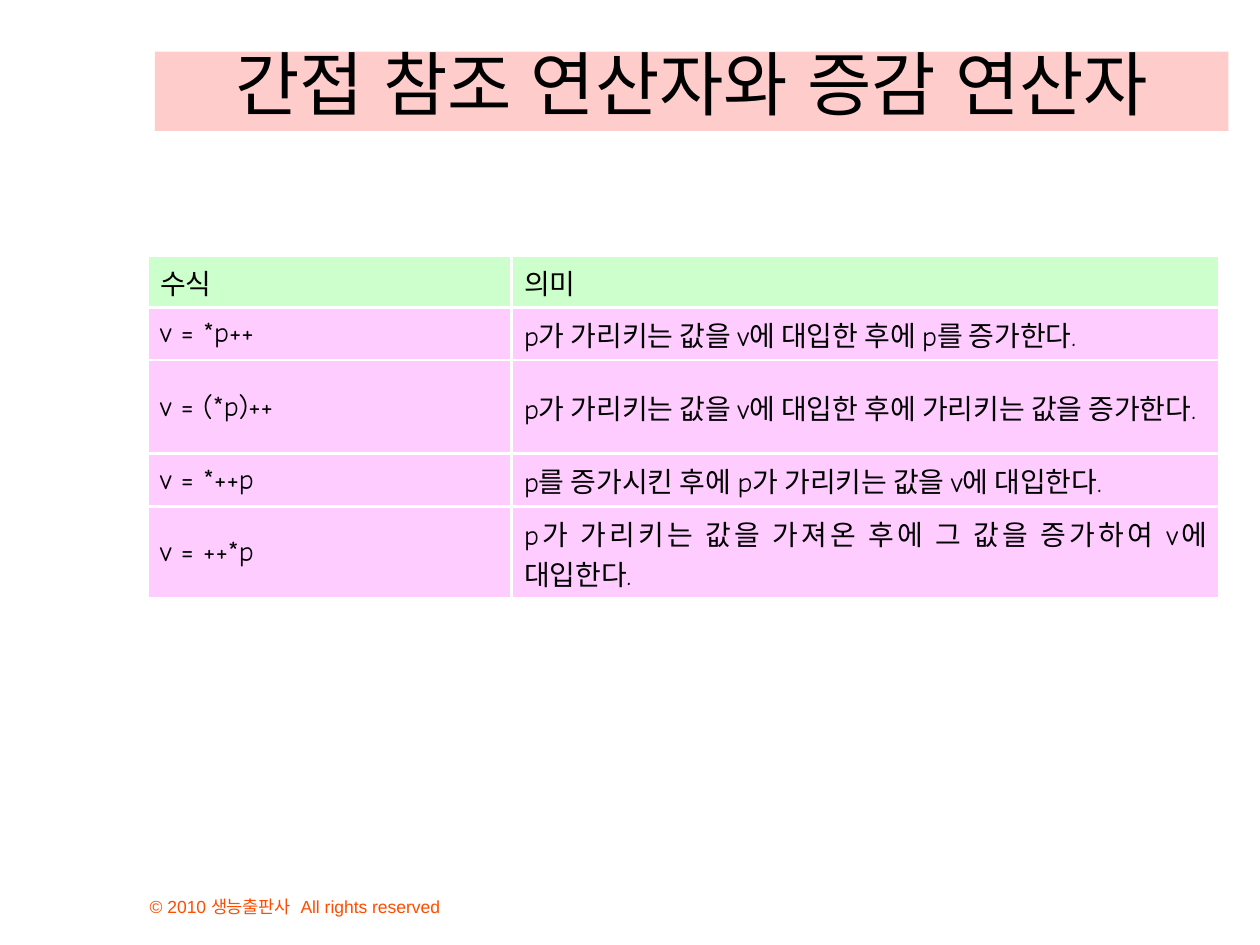
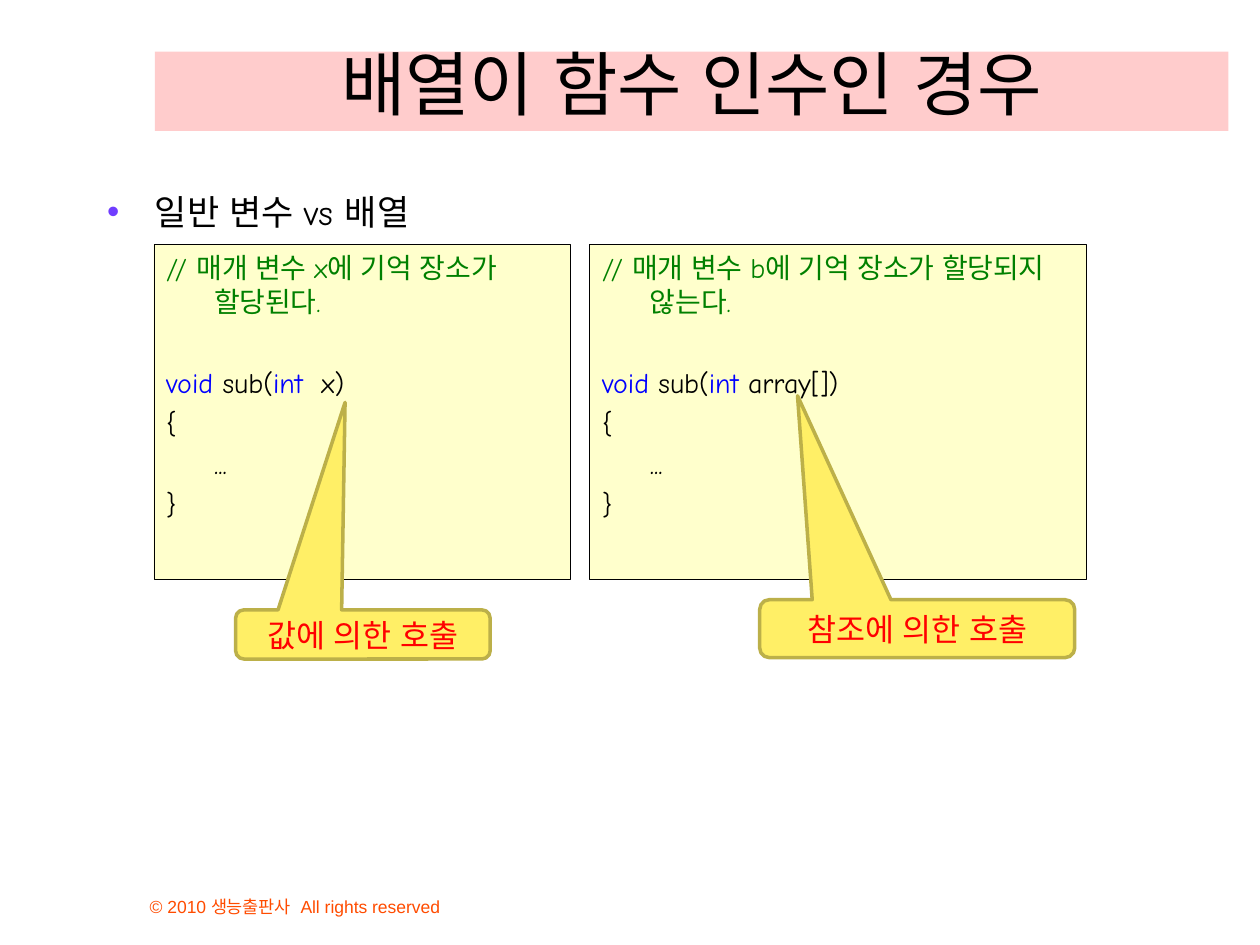
from dataclasses import dataclass

import pptx
import pptx.dml.color
import pptx.enum.shapes
import pptx.enum.text
import pptx.oxml.ns
import pptx.util
from lxml import etree

Inches = pptx.util.Inches
Pt = pptx.util.Pt
Align = pptx.enum.text.PP_ALIGN
Anchor = pptx.enum.text.MSO_ANCHOR
Shape = pptx.enum.shapes.MSO_SHAPE
qn = pptx.oxml.ns.qn


@dataclass(frozen=True)
class Theme:
    font: str = "Comic Neue"
    korean_font: str = "Arial"
    footer_font: str = "Arial"
    ink: str = "000000"
    footer: str = "FF4C00"
    title_band: str = "FFCCCC"
    bullet: str = "703DFF"
    header_fill: str = "CCFFCC"
    row_fill: str = "FFCCFF"
    grid: str = "FFFFFF"
    code_fill: str = "FFFFCC"
    comment: str = "008000"
    keyword: str = "0000FF"
    callout_fill: str = "FFEF66"
    callout_line: str = "BCB049"
    callout_text: str = "FF0000"
    title_size: int = 40
    list_size: int = 20
    callout_size: int = 18
    text_size: int = 16
    footer_size: int = 10
    hanging: float = 0.38


FOOTER = "© 2010 생능출판사  All rights reserved"
TITLE_ONLY, TITLE_AND_BODY = 5, 1


def rgb(value):
    return pptx.dml.color.RGBColor.from_string(value)


def place(shape, left, top, width, height):
    shape.left, shape.top = Inches(left), Inches(top)
    shape.width, shape.height = Inches(width), Inches(height)


def indent(para, left, first):
    properties = para._p.get_or_add_pPr()
    properties.set("marL", str(Inches(left)))
    properties.set("indent", str(Inches(first)))


def add_bullet(para, color):
    properties = para._p.get_or_add_pPr()
    tint = etree.SubElement(properties, qn("a:buClr"))
    etree.SubElement(tint, qn("a:srgbClr"), val=color)
    etree.SubElement(properties, qn("a:buFont"), typeface="Arial")
    etree.SubElement(properties, qn("a:buChar"), char="•")


def add_cell_borders(cell, color, width):
    properties = cell._tc.get_or_add_tcPr()
    for side in ("a:lnL", "a:lnR", "a:lnT", "a:lnB"):
        line = etree.SubElement(properties, qn(side), w=str(Pt(width)))
        fill = etree.SubElement(line, qn("a:solidFill"))
        etree.SubElement(fill, qn("a:srgbClr"), val=color)


class Slides:
    """Holds the style and the page being filled."""

    def __init__(self, theme):
        self.theme = theme
        self.deck = pptx.Presentation()
        self.deck.slide_width, self.deck.slide_height = Inches(10), Inches(7.5)
        self.page = None

    def style(self, para, size, color=None, name=None, east_asian=True):
        """Set the paragraph font, for Korean letters too if east_asian."""
        font = para.font
        font.name = name or self.theme.font
        font.size = Pt(size)
        font.color.rgb = rgb(color or self.theme.ink)
        if east_asian:
            etree.SubElement(font._element, qn("a:ea"),
                             typeface=self.theme.korean_font)

    def add_page(self, title, layout):
        self.page = self.deck.slides.add_slide(self.deck.slide_layouts[layout])
        self.footer()
        box = self.page.shapes.title
        place(box, 1.23, 0.41, 8.52, 0.63)
        box.fill.solid()
        box.fill.fore_color.rgb = rgb(self.theme.title_band)
        frame = box.text_frame
        frame.text = title
        frame.auto_size = pptx.enum.text.MSO_AUTO_SIZE.NONE
        frame.vertical_anchor = Anchor.BOTTOM
        para = frame.paragraphs[0]
        para.alignment = Align.CENTER
        self.style(para, self.theme.title_size)

    def footer(self):
        box = self.page.shapes.add_textbox(
            Inches(1.09), Inches(6.91), Inches(3.83), Inches(0.42))
        frame = box.text_frame
        frame.word_wrap = True
        frame.vertical_anchor = Anchor.BOTTOM
        frame.text = FOOTER
        self.style(frame.paragraphs[0], self.theme.footer_size,
                   self.theme.footer, self.theme.footer_font)

    def body(self, text):
        box = self.page.placeholders[1]
        place(box, 0.75, 1.46, 8.98, 4.54)
        box.text_frame.auto_size = pptx.enum.text.MSO_AUTO_SIZE.NONE
        box.text_frame.text = text
        para = box.text_frame.paragraphs[0]
        indent(para, self.theme.hanging, -self.theme.hanging)
        add_bullet(para, self.theme.bullet)
        para.space_before = Pt(0)
        self.style(para, self.theme.list_size)

    def table(self, rows, left, top, widths, heights):
        frame = self.page.shapes.add_table(
            len(rows), len(widths), Inches(left), Inches(top),
            Inches(sum(widths)), Inches(sum(heights)))
        table = frame.table
        table.first_row = table.horz_banding = False
        for column, width in zip(table.columns, widths):
            column.width = Inches(width)
        for row, height in zip(table.rows, heights):
            row.height = Inches(height)
        for row_number, texts in enumerate(rows):
            fill = self.theme.row_fill if row_number else self.theme.header_fill
            for column_number, text in enumerate(texts):
                self.cell(table.cell(row_number, column_number), text, fill)

    def cell(self, cell, text, fill):
        add_cell_borders(cell, self.theme.grid, 1.47)
        cell.fill.solid()
        cell.fill.fore_color.rgb = rgb(fill)
        cell.vertical_anchor = Anchor.MIDDLE
        cell.text = text
        para = cell.text_frame.paragraphs[0]
        para.alignment = Align.JUSTIFY
        self.style(para, self.theme.text_size, east_asian=False)

    def shape(self, kind, bounds, fill, line, line_width, anchor):
        shape = self.page.shapes.add_shape(kind, *map(Inches, bounds))
        shape.shadow.inherit = False
        shape.fill.solid()
        shape.fill.fore_color.rgb = rgb(fill)
        shape.line.color.rgb = rgb(line)
        shape.line.width = Pt(line_width)
        shape.text_frame.word_wrap = True
        shape.text_frame.vertical_anchor = anchor
        return shape

    def code(self, left, width, comment, parameter):
        """Box with a comment above a function that takes one int parameter."""
        theme = self.theme
        box = self.shape(Shape.RECTANGLE, (left, 1.94, width, 2.66),
                         theme.code_fill, theme.ink, 0.25, Anchor.TOP)
        lines = [
            [(comment, theme.comment)],
            [("void", theme.keyword), (" sub(", theme.ink),
             ("int", theme.keyword), (parameter, theme.ink)],
            [("{", theme.ink)],
            [("...", theme.ink)],
            [("}", theme.ink)],
        ]
        frame = box.text_frame
        for number, (spans, gap) in enumerate(zip(lines, (0, 27, 4, 4, 4))):
            para = frame.add_paragraph() if number else frame.paragraphs[0]
            para.alignment = Align.LEFT
            para.space_before = Pt(gap)
            inner = spans[0][0] == "..."
            indent(para, theme.hanging, 0 if inner else -theme.hanging)
            self.style(para, theme.text_size, spans[0][1])
            for text, color in spans:
                span = para.add_run()
                span.text = text
                if len(spans) > 1:
                    span.font.color.rgb = rgb(color)

    def callout(self, text, bounds, tip):
        """Rounded callout; tip is relative to its centre, in widths and heights."""
        theme = self.theme
        box = self.shape(Shape.ROUNDED_RECTANGULAR_CALLOUT, bounds,
                         theme.callout_fill, theme.callout_line, 2, Anchor.MIDDLE)
        box.adjustments[0], box.adjustments[1] = tip
        box.text_frame.text = text
        para = box.text_frame.paragraphs[0]
        para.alignment = Align.CENTER
        self.style(para, theme.callout_size, theme.callout_text)


def main():
    slides = Slides(Theme())

    slides.add_page("간접 참조 연산자와 증감 연산자", TITLE_ONLY)
    slides.table(
        [
            ("수식", "의미"),
            ("v = *p++", "p가 가리키는 값을 v에 대입한 후에 p를 증가한다."),
            ("v = (*p)++", "p가 가리키는 값을 v에 대입한 후에 가리키는 값을 증가한다."),
            ("v = *++p", "p를 증가시킨 후에 p가 가리키는 값을 v에 대입한다."),
            ("v = ++*p", "p가 가리키는 값을 가져온 후에 그 값을 증가하여 v에 대입한다."),
        ],
        1.17, 2.03, (2.89, 5.62), (0.41, 0.42, 0.74, 0.42, 0.73))

    slides.add_page("배열이 함수 인수인 경우", TITLE_AND_BODY)
    slides.body("일반 변수 vs 배열")
    slides.code(1.22, 3.31, "// 매개 변수 x에 기억 장소가 할당된다.", "  x)")
    slides.code(4.68, 3.94, "// 매개 변수 b에 기억 장소가 할당되지 않는다.", " array[])")
    slides.callout("참조에 의한 호출", (6.03, 4.76, 2.5, 0.46), (-0.38, -4.02))
    slides.callout("값에 의한 호출", (1.87, 4.84, 2.02, 0.39), (-0.07, -4.72))

    slides.deck.save("out.pptx")


if __name__ == "__main__":
    main()
